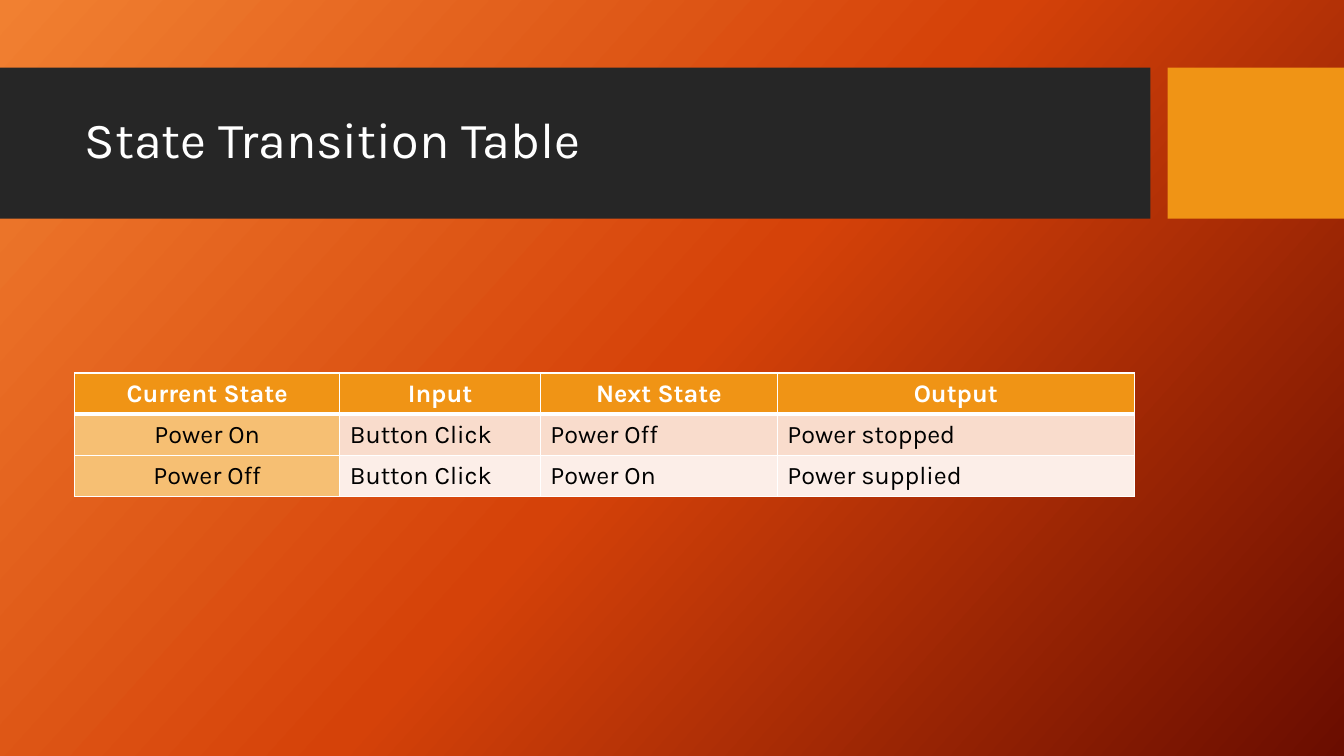
import copy
from dataclasses import dataclass

import lxml.etree
import pptx
import pptx.dml.color
import pptx.enum.shapes
import pptx.enum.text
import pptx.oxml.ns
import pptx.util

# Content
TITLE = "State Transition Table"
HEADER = ("Current State", "Input", "Next State", "Output")
TRANSITIONS = (
    ("Power On", "Button Click", "Power Off", "Power stopped"),
    ("Power Off", "Button Click", "Power On", "Power supplied"),
)

# Layout in inches
SLIDE_W, SLIDE_H = 13.33, 7.5
BAND_TOP, BAND_H = 0.67, 1.5
BAND_W, ACCENT_W = 11.41, 1.75
MARGIN = 0.74
TITLE_TOP, TITLE_W, TITLE_H = 0.82, 10.51, 1.18
TABLE_TOP, ROW_H = 3.7, 0.41
COLUMNS = (2.63, 1.99, 2.35, 3.54)


@dataclass(frozen=True)
class Theme:
    font: str = "Karla"
    title_size: int = 36
    table_size: int = 18
    light: str = "FFFFFF"
    dark: str = "000000"
    band: str = "262626"
    accent: str = "F09415"
    state: str = "F6BF73"
    rows: tuple = ("F9DCCC", "FCEEE8")
    gradient: tuple = ((0, "F18031"), (0.5, "D54209"), (1, "6A0D00"))
    gradient_angle: int = 42
    border: int = 1
    header_rule: int = 3


THEME = Theme()
ALIGN = pptx.enum.text.PP_ALIGN
inch = pptx.util.Inches
rgb = pptx.dml.color.RGBColor.from_string


def paint_background(slide):
    fill = slide.background.fill
    fill.gradient()
    fill.gradient_angle = 360 - THEME.gradient_angle
    last_stop = slide.background.fill._fill._gradFill.gsLst[-1]
    last_stop.addnext(copy.deepcopy(last_stop))
    for stop, (position, color) in zip(fill.gradient_stops, THEME.gradient):
        stop.position = position
        stop.color.rgb = rgb(color)


def add_band(slide, left, width, color):
    band = slide.shapes.add_shape(
        pptx.enum.shapes.MSO_SHAPE.RECTANGLE,
        inch(left), inch(BAND_TOP), inch(width), inch(BAND_H))
    band.shadow.inherit = False
    band.fill.solid()
    band.fill.fore_color.rgb = rgb(color)
    band.line.fill.background()


def write(paragraph, text, size, color, align, bold=False):
    paragraph.alignment = align
    run = paragraph.add_run()
    run.text = text
    run.font.name = THEME.font
    run.font.size = pptx.util.Pt(size)
    run.font.bold = bold
    run.font.color.rgb = rgb(color)


def set_borders(cell, top, bottom):
    widths = {"lnL": THEME.border, "lnR": THEME.border, "lnT": top, "lnB": bottom}
    qn = pptx.oxml.ns.qn
    properties = cell._tc.get_or_add_tcPr()
    for position, (side, width) in enumerate(widths.items()):
        line = lxml.etree.Element(qn(f"a:{side}"), w=str(pptx.util.Pt(width)))
        solid = lxml.etree.SubElement(line, qn("a:solidFill"))
        lxml.etree.SubElement(solid, qn("a:srgbClr"), val=THEME.light)
        properties.insert(position, line)


def add_title(slide):
    title = slide.shapes.title
    title.left, title.top = inch(MARGIN), inch(TITLE_TOP)
    title.width, title.height = inch(TITLE_W), inch(TITLE_H)
    frame = title.text_frame
    frame.auto_size = pptx.enum.text.MSO_AUTO_SIZE.NONE
    frame.word_wrap = True
    frame.vertical_anchor = pptx.enum.text.MSO_ANCHOR.MIDDLE
    frame.paragraphs[0].line_spacing = 0.9
    write(frame.paragraphs[0], TITLE, THEME.title_size, THEME.light, ALIGN.LEFT)
    # Bring the title in front of its band
    slide.shapes._spTree.append(title._element)


def add_transitions(slide):
    content = (HEADER, *TRANSITIONS)
    table = slide.shapes.add_table(
        len(content), len(HEADER), inch(MARGIN), inch(TABLE_TOP),
        inch(sum(COLUMNS)), inch(ROW_H * len(content))).table
    table.first_col = True
    for column, width in zip(table.columns, COLUMNS):
        column.width = inch(width)
    for r, values in enumerate(content):
        table.rows[r].height = inch(ROW_H)
        is_header = r == 0
        for c, value in enumerate(values):
            cell = table.cell(r, c)
            cell.vertical_anchor = pptx.enum.text.MSO_ANCHOR.MIDDLE
            if is_header:
                color = THEME.accent
            else:
                color = THEME.state if c == 0 else THEME.rows[r - 1]
            cell.fill.solid()
            cell.fill.fore_color.rgb = rgb(color)
            set_borders(cell,
                        top=THEME.header_rule if r == 1 else THEME.border,
                        bottom=THEME.header_rule if is_header else THEME.border)
            write(cell.text_frame.paragraphs[0], value, THEME.table_size,
                  THEME.light if is_header else THEME.dark,
                  ALIGN.CENTER if is_header or c == 0 else ALIGN.LEFT,
                  bold=is_header)


def main():
    deck = pptx.Presentation()
    deck.slide_width, deck.slide_height = inch(SLIDE_W), inch(SLIDE_H)
    slide = deck.slides.add_slide(deck.slide_layouts.get_by_name("Title Only"))
    paint_background(slide)
    # Title band and accent block
    add_band(slide, 0, BAND_W, THEME.band)
    add_band(slide, SLIDE_W - ACCENT_W, ACCENT_W, THEME.accent)
    add_title(slide)
    add_transitions(slide)
    deck.save("out.pptx")


if __name__ == "__main__":
    main()
